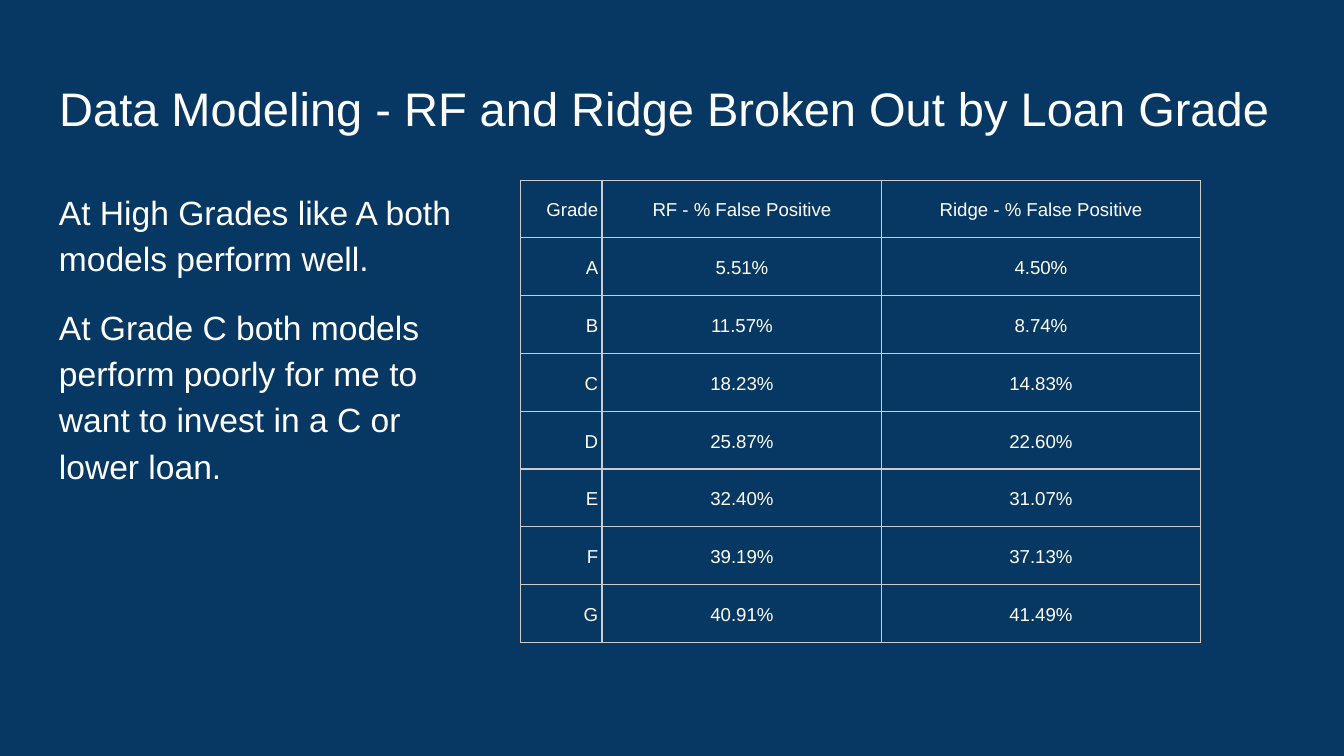
import pptx
import pptx.dml.color
import pptx.enum.text
import pptx.oxml
import pptx.oxml.ns
import pptx.util
from pptx.util import Inches

ALIGN = pptx.enum.text.PP_ALIGN
ANCHOR = pptx.enum.text.MSO_ANCHOR


def color(hex_value):
    return pptx.dml.color.RGBColor.from_string(hex_value)


def write(paragraph, text, size=18, font="Arial", ink="FFFFFF",
          align=ALIGN.LEFT, line_spacing=1.15, before=0, after=0):
    paragraph.alignment = align
    paragraph.line_spacing = line_spacing
    paragraph.space_before = pptx.util.Pt(before)
    paragraph.space_after = pptx.util.Pt(after)
    run = paragraph.add_run()
    run.text = text
    run.font.size = pptx.util.Pt(size)
    run.font.name = font
    run.font.color.rgb = color(ink)


class Deck:
    background = "073763"
    border = "CCCCCC"
    border_width = 0.75
    inset = 0.1

    def __init__(self, width):
        self.presentation = pptx.Presentation()
        self.presentation.slide_width = Inches(width)
        self.presentation.slide_height = Inches(width * 9 / 16)

    def add_slide(self):
        self.slide = self.presentation.slides.add_slide(self.presentation.slide_layouts[5])
        fill = self.slide.background.fill
        fill.solid()
        fill.fore_color.rgb = color(self.background)

    def set_frame(self, frame):
        frame.word_wrap = True
        frame.auto_size = pptx.enum.text.MSO_AUTO_SIZE.NONE
        frame.vertical_anchor = ANCHOR.TOP
        frame.margin_left = frame.margin_right = Inches(self.inset)
        frame.margin_top = frame.margin_bottom = Inches(self.inset)

    def title(self, text, left, top, width, height):
        heading = self.slide.shapes.title
        heading.left, heading.top = Inches(left), Inches(top)
        heading.width, heading.height = Inches(width), Inches(height)
        self.set_frame(heading.text_frame)
        write(heading.text_frame.paragraphs[0], text, size=25.2, line_spacing=1.0)

    def body(self, texts, left, top, width, height):
        box = self.slide.shapes.add_textbox(Inches(left), Inches(top), Inches(width), Inches(height))
        frame = box.text_frame
        self.set_frame(frame)
        for index, text in enumerate(texts):
            paragraph = frame.add_paragraph() if index else frame.paragraphs[0]
            gap = 12 if index else 0
            write(paragraph, text, before=gap, after=gap)

    def outline(self, cell):
        properties = cell._tc.get_or_add_tcPr()
        namespace = pptx.oxml.ns.nsdecls("a")
        width = pptx.util.Pt(self.border_width)
        for position, side in enumerate(("lnL", "lnR", "lnT", "lnB")):
            properties.insert(position, pptx.oxml.parse_xml(
                f'<a:{side} {namespace} w="{width}"><a:solidFill>'
                f'<a:srgbClr val="{self.border}"/></a:solidFill></a:{side}>'))

    def table(self, rows, left, top, column_widths, row_height):
        frame = self.slide.shapes.add_table(
            len(rows), len(column_widths), Inches(left), Inches(top),
            Inches(sum(column_widths)), Inches(row_height * len(rows)))
        grid = frame.table
        grid.first_row = grid.horz_banding = False
        for column, width in zip(grid.columns, column_widths):
            column.width = Inches(width)
        for row, texts in zip(grid.rows, rows):
            row.height = Inches(row_height)
            for index, (cell, text) in enumerate(zip(row.cells, texts)):
                cell.fill.background()
                cell.vertical_anchor = ANCHOR.MIDDLE
                cell.margin_left = cell.margin_right = Inches(0.03)
                cell.margin_top = cell.margin_bottom = Inches(0.02)
                write(cell.text_frame.paragraphs[0], text, size=10,
                      align=ALIGN.CENTER if index else ALIGN.RIGHT)
                self.outline(cell)


def main():
    deck = Deck(10)
    deck.add_slide()
    deck.title("Data Modeling - RF and Ridge Broken Out by Loan Grade", 0.34, 0.49, 9.32, 0.63)
    deck.body([
        "At High Grades like A both models perform well.",
        "At Grade C both models perform poorly for me to want to invest in a C or lower loan.",
    ], 0.34, 1.28, 3.19, 3.83)
    false_positives = [
        ("Grade", "RF - % False Positive", "Ridge - % False Positive"),
        ("A", "5.51%", "4.50%"),
        ("B", "11.57%", "8.74%"),
        ("C", "18.23%", "14.83%"),
        ("D", "25.87%", "22.60%"),
        ("E", "32.40%", "31.07%"),
        ("F", "39.19%", "37.13%"),
        ("G", "40.91%", "41.49%"),
    ]
    deck.table(false_positives, 3.87, 1.34, (0.61, 2.08, 2.37), 0.43)
    deck.presentation.save("out.pptx")


if __name__ == "__main__":
    main()
